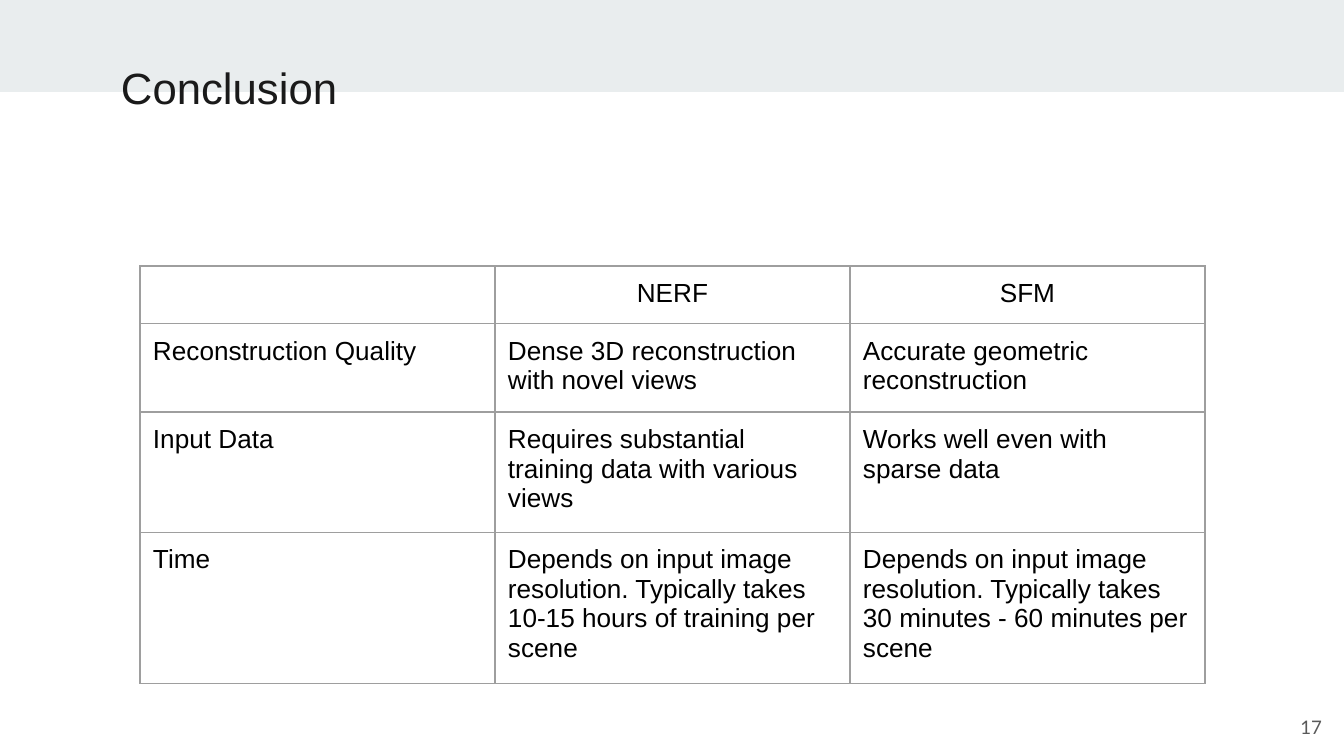
from lxml import etree
from pptx import Presentation
from pptx.dml.color import RGBColor
from pptx.enum.shapes import MSO_SHAPE
from pptx.enum.text import MSO_ANCHOR, PP_ALIGN
from pptx.oxml.ns import qn
from pptx.util import Pt

RECT = MSO_SHAPE.RECTANGLE
TOP, MIDDLE = MSO_ANCHOR.TOP, MSO_ANCHOR.MIDDLE
LEFT, CENTER, RIGHT = PP_ALIGN.LEFT, PP_ALIGN.CENTER, PP_ALIGN.RIGHT

COLORS = {"band": "E9EDEE", "title": "1A1A1A", "body": "000000",
          "page": "595959", "grid": "9E9E9E"}
TITLE = "Conclusion"
PAGE = "17"
ROWS = [
    ("", "NERF", "SFM"),
    ("Reconstruction Quality",
     "Dense 3D reconstruction with novel views",
     "Accurate geometric reconstruction"),
    ("Input Data",
     "Requires substantial training data with various views",
     "Works well even with sparse data"),
    ("Time",
     "Depends on input image resolution. Typically takes 10-15 hours "
     "of training per scene",
     "Depends on input image resolution. Typically takes 30 minutes - "
     "60 minutes per scene"),
]
HEIGHTS = [56, 85, 115, 144]
COL = 355
PAD = 13
BANDS = [(0, 0, 1344, 71), (0, 67, 1344, 25)]
SCALE = 914400 / 134.4


def px(n):
    return round(n * SCALE)


def rgb(name):
    return RGBColor.from_string(COLORS[name])


def write(frame, text, size=14, font="Arial", color="body", align=LEFT):
    frame.word_wrap = True
    para = frame.paragraphs[0]
    para.alignment = align
    para.font.size = Pt(size)
    if text:
        run = para.add_run()
        run.text = text
        run.font.size = Pt(size)
        run.font.name = font
        run.font.color.rgb = rgb(color)


def pad(item):
    item.margin_left = item.margin_right = px(PAD)
    item.margin_top = item.margin_bottom = px(PAD)


def label(slide, box, text, anchor=TOP, **style):
    frame = slide.shapes.add_textbox(*map(px, box)).text_frame
    pad(frame)
    frame.vertical_anchor = anchor
    write(frame, text, **style)


def border(cell):
    props = cell._tc.get_or_add_tcPr()
    for i, side in enumerate(("lnL", "lnR", "lnT", "lnB")):
        line = etree.Element(qn("a:" + side), w=str(Pt(0.75)))
        fill = etree.SubElement(line, qn("a:solidFill"))
        etree.SubElement(fill, qn("a:srgbClr"), val=COLORS["grid"])
        props.insert(i, line)


def grid(slide, left, top):
    rows, cols = len(ROWS), len(ROWS[0])
    box = map(px, (left, top, COL * cols, sum(HEIGHTS)))
    table = slide.shapes.add_table(rows, cols, *box).table
    table.first_row = table.horz_banding = False
    for col in table.columns:
        col.width = px(COL)
    for r, (texts, high) in enumerate(zip(ROWS, HEIGHTS)):
        table.rows[r].height = px(high)
        for c, text in enumerate(texts):
            cell = table.cell(r, c)
            pad(cell)
            cell.fill.background()
            border(cell)
            write(cell.text_frame, text, align=LEFT if r else CENTER)


def main():
    deck = Presentation()
    deck.slide_width, deck.slide_height = px(1344), px(756)
    slide = deck.slides.add_slide(deck.slide_layouts[6])
    for box in BANDS:
        band = slide.shapes.add_shape(RECT, *map(px, box))
        band.shadow.inherit = False
        band.fill.solid()
        band.fill.fore_color.rgb = rgb("band")
        band.line.fill.background()
    label(slide, (108, 48, 1130, 79), TITLE, size=23.4, color="title")
    label(slide, (1255, 698, 80, 58), PAGE, anchor=MIDDLE, size=10,
          font="Lato", color="page", align=RIGHT)
    grid(slide, 140, 266)
    deck.save("out.pptx")


if __name__ == "__main__":
    main()
